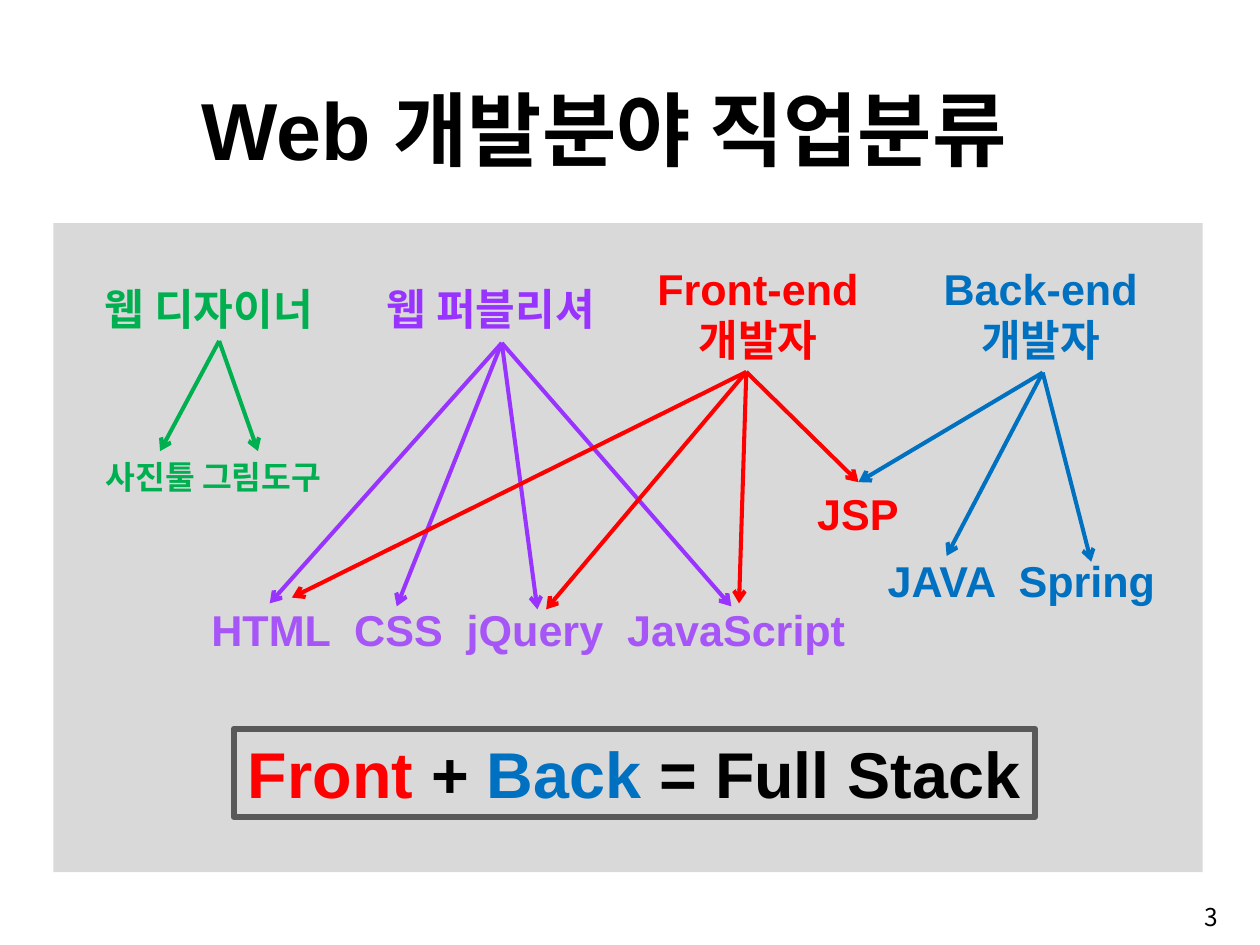
from dataclasses import dataclass

from lxml.etree import SubElement
from pptx import Presentation
from pptx.dml.color import RGBColor
from pptx.enum.shapes import MSO_CONNECTOR, MSO_SHAPE
from pptx.enum.text import MSO_ANCHOR, MSO_AUTO_SIZE, PP_ALIGN
from pptx.oxml.ns import qn
from pptx.shapes.autoshape import Shape
from pptx.slide import Slide
from pptx.util import Pt


@dataclass(frozen=True)
class Theme:
    font: str = "Arial"
    number_font: str = "Noto Sans CJK KR"
    black: str = "000000"
    panel: str = "D9D9D9"
    border: str = "595959"
    designer: str = "00B050"
    publisher: str = "9933FF"
    publisher_skill: str = "A655F7"
    front: str = "FF0000"
    back: str = "0070C0"
    title_size: float = 60
    summary_size: float = 48
    role_size: float = 32
    tool_size: float = 24
    number_size: float = 18.2
    arrow_width: float = 3
    border_width: float = 4.5


THEME = Theme()
Box = tuple[float, float, float, float]
Point = tuple[float, float]


@dataclass(frozen=True)
class Label:
    text: str
    box: Box
    color: str
    size: float = THEME.role_size
    align: PP_ALIGN = PP_ALIGN.LEFT


@dataclass(frozen=True)
class Fan:
    """Arrows from one role to each of its skills."""
    color: str
    role: Point
    skills: tuple[Point, ...]


JSP_TIP = (637.2, 357.8)

LABELS = (
    Label("Web 개발분야 직업분류", (142.6, 55.4, 656.6, 80), THEME.black, THEME.title_size),
    Label("웹 디자이너", (70.6, 206, 185, 46), THEME.designer),
    Label("웹 퍼블리셔", (280, 206, 185, 46), THEME.publisher),
    Label("Front-end\n개발자", (480.2, 190.8, 165, 85), THEME.front, align=PP_ALIGN.CENTER),
    Label("Back-end\n개발자", (692.6, 190.8, 160, 85), THEME.back, align=PP_ALIGN.CENTER),
    Label("사진툴 그림도구", (71.3, 335.5, 190.8, 36), THEME.designer, THEME.tool_size),
    Label("HTML  CSS  jQuery  JavaScript", (149.8, 444.2, 489.6, 46), THEME.publisher_skill),
    Label("JSP", (599, 357.8, 75.6, 46), THEME.front, align=PP_ALIGN.CENTER),
    Label("JAVA  Spring", (650.9, 408.2, 214.6, 46), THEME.back, align=PP_ALIGN.CENTER),
)

FANS = (
    Fan(THEME.designer, (162.7, 253), ((118.8, 334.8), (191.5, 334.8))),
    Fan(THEME.publisher, (372.5, 254.5),
        ((200.2, 447.8), (294.5, 450), (398.9, 452.2), (542.9, 450))),
    Fan(THEME.front, (554, 276),
        ((216.7, 443.5), (405.4, 452.2), (548.6, 447.8), JSP_TIP)),
    Fan(THEME.back, (774, 276.5), ((702.7, 412.6), (810, 416.9), JSP_TIP)),
)

SUMMARY = (
    ("Front ", THEME.front),
    ("+ ", THEME.black),
    ("Back ", THEME.back),
    ("= Full Stack", THEME.black),
)


def rgb(color: str) -> RGBColor:
    return RGBColor.from_string(color)


def add_label(slide: Slide, label: Label, font: str = THEME.font, bold: bool = True) -> Shape:
    box = slide.shapes.add_textbox(*map(Pt, label.box))
    frame = box.text_frame
    frame.text = label.text
    frame.word_wrap = False
    frame.auto_size = MSO_AUTO_SIZE.SHAPE_TO_FIT_TEXT
    for paragraph in frame.paragraphs:
        paragraph.alignment = label.align
        paragraph.font.name = font
        paragraph.font.size = Pt(label.size)
        paragraph.font.bold = bold
        paragraph.font.color.rgb = rgb(label.color)
    return box


def add_rectangle(slide: Slide, box: Box) -> Shape:
    rectangle = slide.shapes.add_shape(MSO_SHAPE.RECTANGLE, *map(Pt, box))
    rectangle.shadow.inherit = False
    return rectangle


def add_panel(slide: Slide) -> None:
    panel = add_rectangle(slide, (39.6, 165.6, 853.2, 481.7))
    panel.fill.solid()
    panel.fill.fore_color.rgb = rgb(THEME.panel)
    panel.line.fill.background()


def add_fan(slide: Slide, fan: Fan) -> None:
    for skill in fan.skills:
        arrow = slide.shapes.add_connector(
            MSO_CONNECTOR.STRAIGHT, *map(Pt, fan.role + skill))
        arrow.line.color.rgb = rgb(fan.color)
        arrow.line.width = Pt(THEME.arrow_width)
        SubElement(arrow.line._get_or_add_ln(), qn("a:tailEnd"), type="arrow")
        SubElement(arrow._element.spPr, qn("a:effectLst"))


def add_summary(slide: Slide) -> None:
    summary = add_rectangle(slide, (173.5, 540.7, 594.7, 65.5))
    summary.fill.background()
    summary.line.color.rgb = rgb(THEME.border)
    summary.line.width = Pt(THEME.border_width)
    frame = summary.text_frame
    frame.word_wrap = False
    frame.auto_size = MSO_AUTO_SIZE.SHAPE_TO_FIT_TEXT
    equation = frame.paragraphs[0]
    equation.alignment = PP_ALIGN.CENTER
    equation.font.name = THEME.font
    equation.font.size = Pt(THEME.summary_size)
    equation.font.bold = True
    for text, color in SUMMARY:
        term = equation.add_run()
        term.text = text
        term.font.color.rgb = rgb(color)


def add_page_number(slide: Slide) -> None:
    number = Label("3", (718.6, 658.8, 193, 43), THEME.black, THEME.number_size, PP_ALIGN.RIGHT)
    frame = add_label(slide, number, THEME.number_font, bold=False).text_frame
    frame.word_wrap = True
    frame.auto_size = MSO_AUTO_SIZE.NONE
    frame.vertical_anchor = MSO_ANCHOR.MIDDLE


def main() -> None:
    deck = Presentation()
    deck.slide_width, deck.slide_height = Pt(935.3), Pt(701.3)
    slide = deck.slides.add_slide(deck.slide_layouts[6])
    add_panel(slide)
    for label in LABELS:
        add_label(slide, label)
    for fan in FANS:
        add_fan(slide, fan)
    add_summary(slide)
    add_page_number(slide)
    deck.save("out.pptx")


if __name__ == "__main__":
    main()
